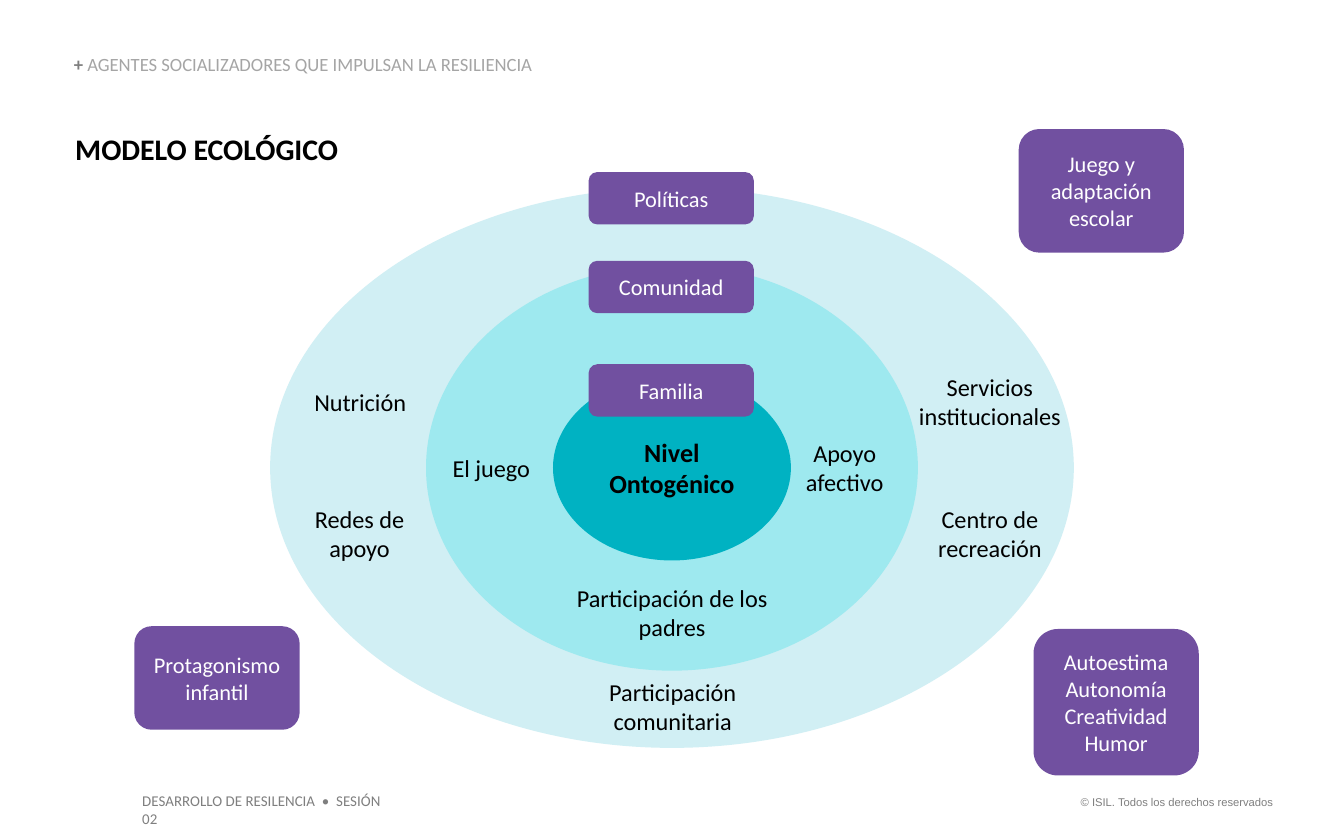
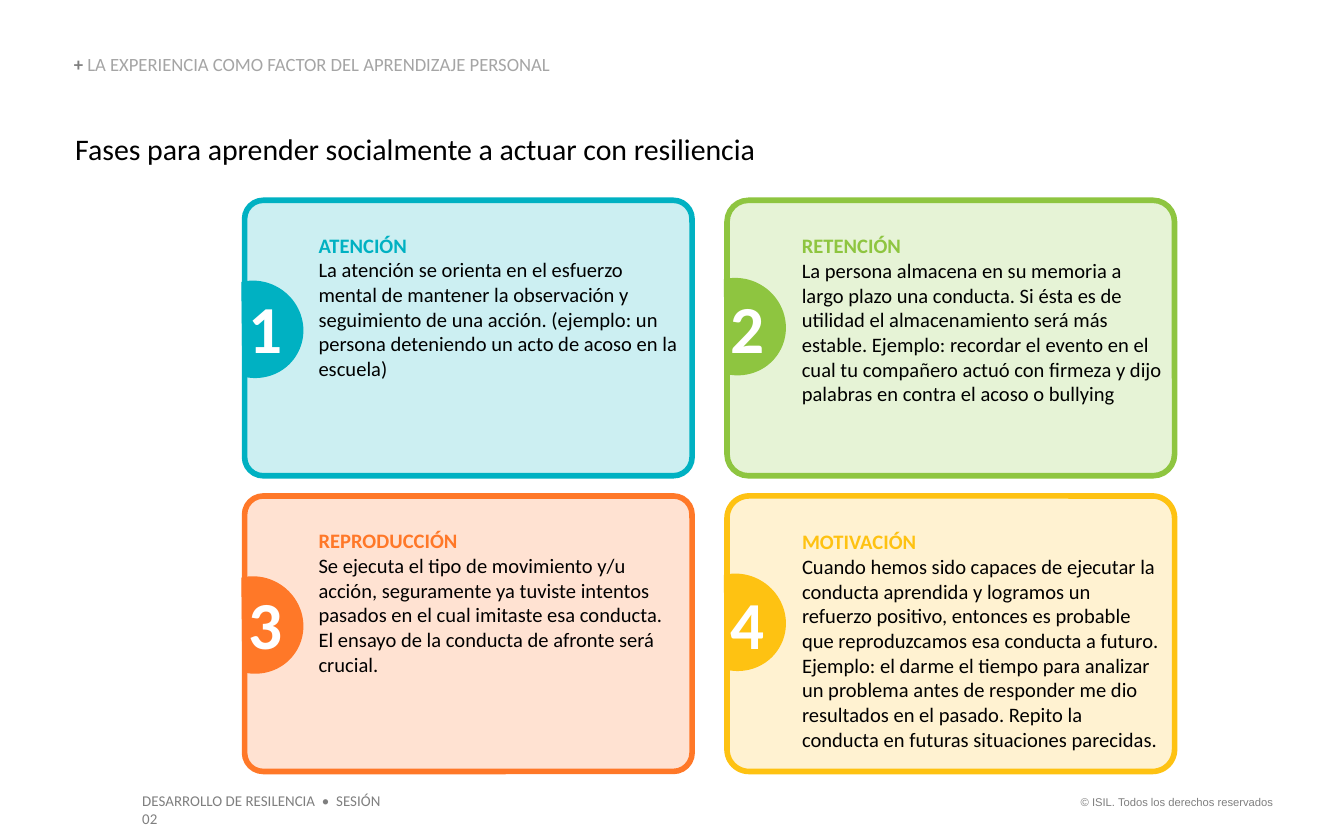
from dataclasses import dataclass

from pptx import Presentation
from pptx.dml.color import RGBColor
from pptx.enum.shapes import MSO_SHAPE
from pptx.enum.text import MSO_ANCHOR, MSO_AUTO_SIZE, PP_ALIGN
from pptx.util import Inches, Pt

LEFT, CENTER, RIGHT = PP_ALIGN.LEFT, PP_ALIGN.CENTER, PP_ALIGN.RIGHT
TOP, MIDDLE, BOTTOM = MSO_ANCHOR.TOP, MSO_ANCHOR.MIDDLE, MSO_ANCHOR.BOTTOM
ELLIPSE, ROUNDED, CHORD = MSO_SHAPE.OVAL, MSO_SHAPE.ROUNDED_RECTANGLE, MSO_SHAPE.CHORD
GROW = MSO_AUTO_SIZE.SHAPE_TO_FIT_TEXT

NO_INSETS = (0, 0, 0, 0)
USUAL_INSETS = (0.1, 0.05, 0.1, 0.05)
CARD_INSETS = (0.51, 0.2, 0.04, 0.05)


@dataclass(frozen=True)
class Theme:
    font: str = "Calibri"
    legal_font: str = "Arial"
    black: str = "000000"
    white: str = "FFFFFF"
    gray: str = "7F7F7F"
    light_gray: str = "A5A5A5"
    purple: str = "7150A0"
    rings: tuple = ("D1EFF4", "9EE9EF", "00B2C2")
    legal_size: float = 6
    footer_size: float = 8
    section_size: float = 10
    card_size: float = 11
    tag_size: float = 12
    label_size: float = 13
    core_size: float = 14
    title_size: float = 16
    number_size: float = 36


@dataclass(frozen=True)
class Span:
    text: str
    size: float
    color: str
    bold: bool = False
    font: str = Theme.font


class Builder:
    def __init__(self, deck, theme):
        self.deck = deck
        self.theme = theme
        self.page = None

    def fill_text(self, shape, paragraphs, align=LEFT, anchor=TOP, insets=USUAL_INSETS,
                  spacing=None):
        """Fill a shape with paragraphs, each a list of spans."""
        frame = shape.text_frame
        frame.word_wrap = True
        frame.vertical_anchor = anchor
        (frame.margin_left, frame.margin_top,
         frame.margin_right, frame.margin_bottom) = map(Inches, insets)
        for index, spans in enumerate(paragraphs):
            para = frame.add_paragraph() if index else frame.paragraphs[0]
            para.alignment = align
            if spacing:
                para.line_spacing = spacing
            for span in spans:
                run = para.add_run()
                run.text = span.text
                run.font.name = span.font
                run.font.size = Pt(span.size)
                run.font.bold = span.bold
                run.font.color.rgb = RGBColor.from_string(span.color)

    def text(self, place, spans, **layout):
        box = self.page.shapes.add_textbox(*map(Inches, place))
        self.fill_text(box, [spans], **layout)
        box.text_frame.auto_size = GROW

    def shape(self, kind, place, fill, line=None, adjustments=()):
        shape = self.page.shapes.add_shape(kind, *map(Inches, place))
        shape.shadow.inherit = False
        shape.fill.solid()
        shape.fill.fore_color.rgb = RGBColor.from_string(fill)
        if line:
            shape.line.color.rgb = RGBColor.from_string(line)
            shape.line.width = Pt(3)
        else:
            shape.line.fill.background()
        for index, value in enumerate(adjustments):
            shape.adjustments[index] = value
        return shape

    def start_page(self, section, title, bold_title=False):
        """Add a blank page with its footers, section line and title."""
        theme = self.theme
        self.page = self.deck.slides.add_slide(self.deck.slide_layouts[6])
        self.text((7.88, 5.87, 1.69, 0.2),
                  [Span("© ISIL. Todos los derechos reservados", theme.legal_size,
                        theme.gray, font=theme.legal_font)], align=RIGHT)
        self.text((0.96, 5.84, 2.11, 0.24),
                  [Span("DESARROLLO DE RESILENCIA  •  SESIÓN 02", theme.footer_size, theme.gray)])
        self.text((0.55, 0.41, 4.24, 0.15),
                  [Span("+ ", theme.section_size, theme.gray, True),
                   Span(section, theme.section_size, theme.light_gray)],
                  anchor=BOTTOM, insets=NO_INSETS, spacing=0.9)
        self.text((0.56, 0.97, 8.41, 0.27),
                  [Span(title, theme.title_size, theme.black, bold_title)], insets=NO_INSETS)

    def ring(self, width, height, fill):
        center_x, center_y = 5, 3.48
        return self.shape(ELLIPSE, (center_x - width / 2, center_y - height / 2, width, height), fill)

    def label(self, left, top, width, text):
        self.text((left, top, width, 0.44), [Span(text, self.theme.label_size, self.theme.black)],
                  align=CENTER, insets=NO_INSETS)

    def tag(self, left, top, height, *lines):
        tag = self.shape(ROUNDED, (left, top, 1.23, height), self.theme.purple, adjustments=[0.167])
        self.fill_text(tag, [[Span(line, self.theme.tag_size, self.theme.white)] for line in lines],
                       align=CENTER, anchor=MIDDLE)

    def card(self, left, top, badge_drop, number, color, tint, rounding, heading, body):
        theme = self.theme
        card = self.shape(ROUNDED, (left, top, 3.33, 2.05), tint, color, [rounding])
        self.fill_text(card, [[Span(heading, theme.card_size, color, True)],
                              [Span(body, theme.card_size, theme.black)]], insets=CARD_INSETS)
        badge = self.shape(CHORD, (left - 0.3, top + badge_drop, 0.74, 0.72), color,
                           adjustments=[27, 152.33])
        badge.rotation = 210
        self.text((left - 0.07, top + 0.59, 0.41, 0.71),
                  [Span(str(number), theme.number_size, theme.white, True)])


def build_ecological_model(builder):
    theme = builder.theme
    builder.start_page("AGENTES SOCIALIZADORES QUE IMPULSAN LA RESILIENCIA",
                       "MODELO ECOLÓGICO", bold_title=True)
    ring_sizes = [(5.98, 4.17), (3.66, 3.02), (1.77, 1.38)]
    for (width, height), fill in zip(ring_sizes, theme.rings):
        core = builder.ring(width, height, fill)
    builder.fill_text(core, [[Span("Nivel Ontogénico", theme.core_size, theme.black, True)]],
                      align=CENTER, anchor=MIDDLE)

    for label in [
        (5.95, 3.26, 0.67, "Apoyo afectivo"),
        (4.29, 4.34, 1.42, "Participación de los padres"),
        (3.24, 3.37, 0.83, "El juego"),
        (6.68, 2.77, 1.37, "Servicios institucionales"),
        (6.81, 3.75, 1.11, "Centro de recreación"),
        (4.22, 5.04, 1.57, "Participación comunitaria"),
        (2.16, 3.75, 1.03, "Redes de apoyo"),
        (2.18, 2.88, 1, "Nutrición"),
    ]:
        builder.label(*label)

    for top, level in [(1.28, "Políticas"), (1.94, "Comunidad"), (2.71, "Familia")]:
        builder.tag(4.38, top, 0.39, level)
    builder.tag(1, 4.66, 0.77, "Protagonismo infantil")
    builder.tag(7.58, 0.96, 0.92, "Juego y adaptación escolar")
    builder.tag(7.69, 4.68, 1.09, "Autoestima", "Autonomía", "Creatividad", "Humor")


def build_learning_phases(builder):
    builder.start_page("LA EXPERIENCIA COMO FACTOR DEL APRENDIZAJE PERSONAL",
                       "Fases para aprender socialmente a actuar con resiliencia")
    phases = [
        ("00B1C2", "CCEFF2", 0.068, "ATENCIÓN",
         "La atención se orienta en el esfuerzo mental de mantener la observación y "
         "seguimiento de una acción. (ejemplo: un persona deteniendo un acto de acoso "
         "en la escuela)"),
        ("8EC540", "E6F3D6", 0.078, "RETENCIÓN",
         "La persona almacena en su memoria a largo plazo una conducta. Si ésta es de "
         "utilidad el almacenamiento será más estable. Ejemplo: recordar el evento en el "
         "cual tu compañero actuó con firmeza y dijo palabras en contra el acoso o bullying"),
        ("FF7828", "FFE2D2", 0.068, "REPRODUCCIÓN",
         "Se ejecuta el tipo de movimiento y/u acción, seguramente ya tuviste intentos "
         "pasados en el cual imitaste esa conducta. El ensayo de la conducta de afronte "
         "será crucial."),
        ("FEC212", "FFF2D1", 0.08, "MOTIVACIÓN",
         "Cuando hemos sido capaces de ejecutar la conducta aprendida y logramos un "
         "refuerzo positivo, entonces es probable que reproduzcamos esa conducta a futuro. "
         "Ejemplo: el darme el tiempo para analizar un problema antes de responder me dio "
         "resultados en el pasado. Repito la conducta en futuras situaciones parecidas."),
    ]
    badge_drops = (0.6, 0.58)
    for index, phase in enumerate(phases):
        row, column = divmod(index, 2)
        builder.card(1.82 + 3.59 * column, 1.49 + 2.2 * row, badge_drops[column],
                     index + 1, *phase)


def main():
    deck = Presentation()
    deck.slide_width, deck.slide_height = Inches(10), Inches(6.25)
    builder = Builder(deck, Theme())
    build_ecological_model(builder)
    build_learning_phases(builder)
    deck.save("out.pptx")


if __name__ == "__main__":
    main()
